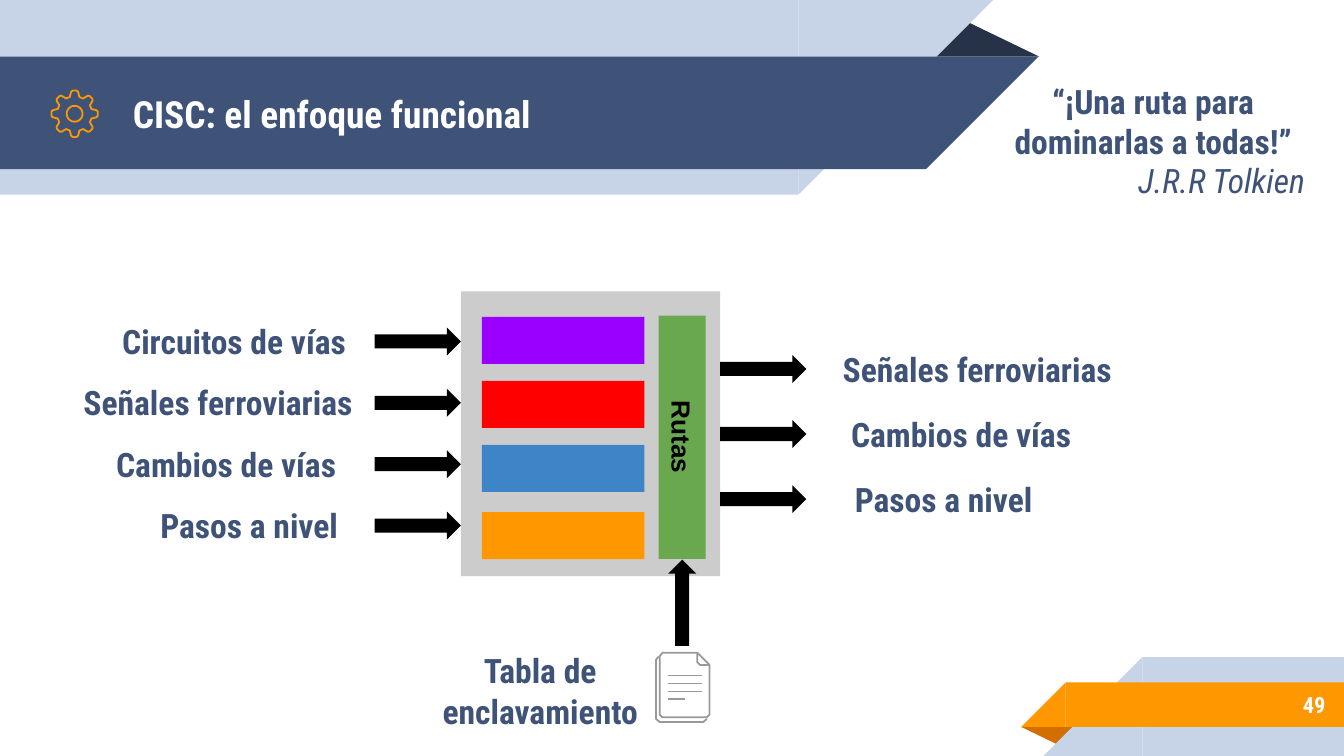
"""Build the slide on the functional approach to railway interlocking."""
from math import cos, radians, sin

from pptx import Presentation, util as u
from pptx.dml.color import RGBColor
from pptx.enum import shapes, text
from pptx.oxml.ns import qn
from lxml import etree

INK = {
    "pale": "C7D3E6", "navy": "3F5378", "night": "263248", "orange": "FF9800",
    "rust": "D26F00", "white": "FFFFFF", "black": "000000", "panel": "CCCCCC",
    "grey": "999999", "purple": "9900FF", "red": "FF0000", "blue": "3D85C6",
    "green": "6AA84F",
}
KIND = shapes.MSO_SHAPE
SIDE = text.PP_ALIGN

deck = Presentation()
deck.slide_width, deck.slide_height = u.Cm(25.4), u.Cm(14.29)
slide = deck.slides.add_slide(deck.slide_layouts[6])
tree = slide.shapes


def add(kind, at, ink, turn=0, peak=None):
    form = tree.add_shape(kind, *map(u.Cm, at))
    form.shadow.inherit = False
    form.fill.solid()
    form.fill.fore_color.rgb = RGBColor.from_string(INK[ink])
    form.line.fill.background()
    form.rotation = turn
    if peak:
        form.adjustments[0] = peak
    return form


def write(words, at=None, form=None, size=18, ink="navy", face="Roboto Condensed",
          bold=True, slant=False, side=SIDE.CENTER, lead=None):
    form = form or tree.add_textbox(*map(u.Cm, at))
    frame = form.text_frame
    frame.word_wrap = True
    frame.vertical_anchor = text.MSO_ANCHOR.MIDDLE
    frame.margin_left = frame.margin_right = u.Cm(0.25)
    frame.margin_top = frame.margin_bottom = u.Cm(0.25)
    para = frame.paragraphs[0]
    para.alignment = side
    if lead:
        para.line_spacing = lead
    run = para.add_run()
    run.text = words
    font = run.font
    font.name, font.size, font.bold, font.italic = face, u.Pt(size), bold, slant
    font.color.rgb = RGBColor.from_string(INK[ink])


for kind, at, ink, turn, peak in [
    (KIND.ISOSCELES_TRIANGLE, (17.48, 0.36, 2.16, 0.71), "night", 0, 0.32),
    (KIND.RECTANGLE, (0, 0, 15.09, 3.68), "pale", 0, None),
    (KIND.RIGHT_TRIANGLE, (15.09, 0, 3.68, 3.68), "pale", 90, None),
    (KIND.RECTANGLE, (0, 1.07, 17.5, 2.13), "navy", 0, None),
    (KIND.RIGHT_TRIANGLE, (17.5, 1.07, 2.13, 2.13), "navy", 90, None),
    (KIND.ISOSCELES_TRIANGLE, (19.3, 13.74, 1.09, 0.36), "rust", 180, 0.32),
    (KIND.RECTANGLE, (21.59, 12.42, 3.81, 1.87), "pale", 0, None),
    (KIND.RIGHT_TRIANGLE, (19.72, 12.42, 1.87, 1.87), "pale", 270, None),
    (KIND.RECTANGLE, (20.14, 12.9, 5.26, 0.84), "orange", 0, None),
    (KIND.RIGHT_TRIANGLE, (19.3, 12.9, 0.84, 0.84), "orange", 270, None),
]:
    add(kind, at, ink, turn, peak)

write("CISC: el enfoque funcional", (2.26, 1.09, 15.27, 2.13), size=20,
      ink="white", side=SIDE.LEFT)
write("49", (21.16, 12.88, 4.14, 0.89), size=12, ink="white", side=SIDE.RIGHT)
write("“¡Una ruta para dominarlas a todas!”", (18.85, 1.22, 5.89, 2.13))
write("J.R.R Tolkien", (21.26, 2.69, 4.14, 1.32), bold=False, slant=True,
      side=SIDE.LEFT, lead=1.15)

add(KIND.RECTANGLE, (8.71, 5.51, 4.9, 5.38), "panel")
for top, ink in [(5.99, "purple"), (7.2, "red"), (8.41, "blue"), (9.68, "orange")]:
    add(KIND.RECTANGLE, (9.11, top, 3.07, 0.89), ink)
routes = add(KIND.RECTANGLE, (10.59, 7.82, 4.6, 0.89), "green", 90)
write("Rutas", form=routes, size=14, ink="black", face="Arial")

inputs = [("Circuitos de vías", 5.31), ("Señales ferroviarias", 5.92),
          ("Cambios de vías", 5.61), ("Pasos a nivel", 4.74)]
for i, (name, wide) in enumerate(inputs):
    mid = 6.45 + 1.16 * i
    add(KIND.RIGHT_ARROW, (7.08, mid - 0.26, 1.63, 0.53), "black")
    write(name, (7.08 - wide, mid - 0.77, wide, 1.54))

outputs = [("Señales ferroviarias", 6.4), ("Cambios de vías", 5.79),
           ("Pasos a nivel", 5.13)]
for i, (name, wide) in enumerate(outputs):
    mid = 6.97 + 1.23 * i
    add(KIND.RIGHT_ARROW, (13.61, mid - 0.26, 1.63, 0.53), "black")
    write(name, (15.27, mid - 0.77, wide, 1.54))

add(KIND.RIGHT_ARROW, (12.08, 11.13, 1.63, 0.53), "black", 270)
write("Tabla de enclavamiento", (7.95, 11.99, 4.52, 2.13))

tooth = [(0.33, -16), (0.42, -9), (0.44, -5), (0.44, 5), (0.42, 9), (0.33, 16)]
rim = [(r, a + 45 * i) for i in range(8) for r, a in tooth]
hub = [(0.15, 15 * i) for i in range(24)]
gear = [[(1.41 + r * cos(radians(a)), 2.15 + r * sin(radians(a))) for r, a in ring]
        for ring in (rim, hub)]
back = [(13.36, 13.59), (13.29, 13.65), (12.47, 13.65), (12.4, 13.59),
        (12.4, 12.47), (12.45, 12.41)]
front = [(13.41, 12.57), (13.41, 13.51), (13.36, 13.56), (12.52, 13.56),
         (12.47, 13.51), (12.47, 12.4), (12.52, 12.34), (13.18, 12.34)]
fold = [(13.18, 12.52), (13.18, 12.34), (13.41, 12.57), (13.23, 12.57)]
for rings, ink, close in [(gear, "orange", True), ([back], "grey", False),
                          ([front], "grey", False), ([fold], "grey", True)]:
    rings = [[(u.Cm(x), u.Cm(y)) for x, y in ring] for ring in rings]
    pen = tree.build_freeform(*rings[0][0])
    for i, ring in enumerate(rings):
        if i:
            pen.move_to(*ring[0])
        pen.add_line_segments(ring[1:], close=close)
    icon = pen.convert_to_shape()
    icon.shadow.inherit = False
    icon.fill.background()
    icon.line.color.rgb = RGBColor.from_string(INK[ink])
    icon.line.width = u.Pt(0.96)

for i, end in enumerate([13.26, 13.26, 13.26, 12.95]):
    y = u.Cm(12.77 + 0.15 * i)
    rule = tree.add_connector(shapes.MSO_CONNECTOR.STRAIGHT, u.Cm(12.62), y, u.Cm(end), y)
    rule.line.color.rgb = RGBColor.from_string(INK["grey"])
    rule.line.width = u.Pt(0.96)
    etree.SubElement(rule._element.spPr, qn("a:effectLst"))

deck.save("out.pptx")
